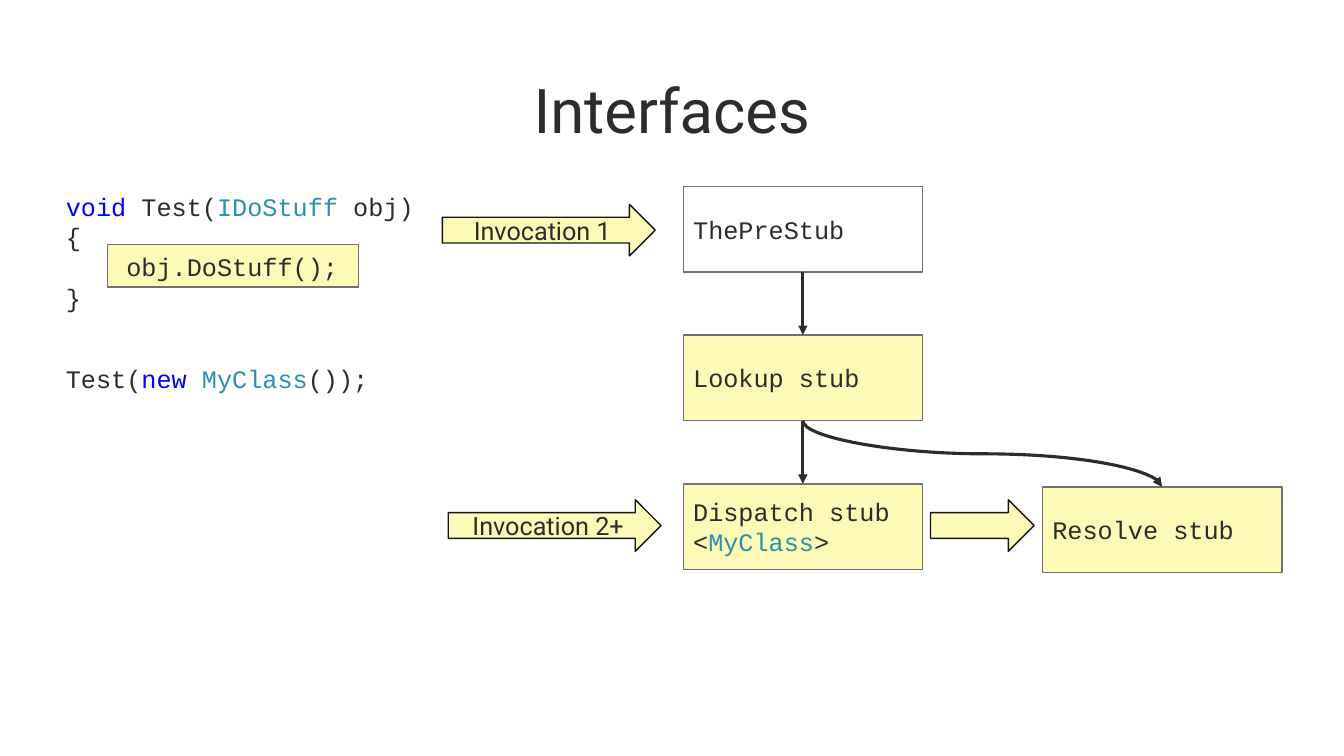
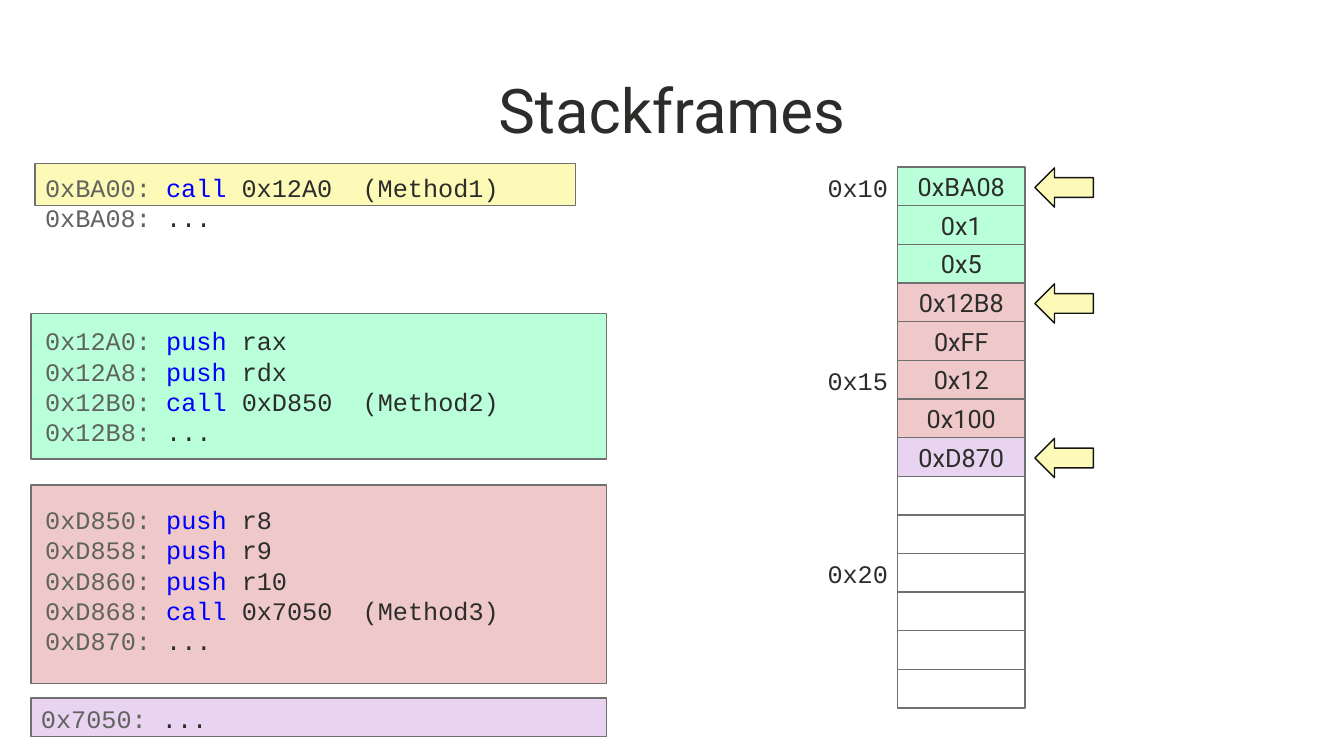
from dataclasses import dataclass

from lxml.etree import SubElement
from pptx import Presentation
from pptx.dml.color import RGBColor
from pptx.enum.shapes import MSO_CONNECTOR, MSO_SHAPE
from pptx.enum.text import MSO_ANCHOR, PP_ALIGN
from pptx.oxml.ns import qn
from pptx.util import Pt


@dataclass(frozen=True)
class Theme:
    """Colours, fonts and type sizes shared by the slides."""

    ink: str = "2C2D2B"
    keyword: str = "0000FF"
    type_name: str = "2B91AF"
    address: str = "61635F"
    edge: str = "707070"
    arrow_edge: str = "131413"
    white: str = "FFFFFF"
    yellow: str = "FCFAB6"
    green: str = "B9FFD9"
    red: str = "EFC9C9"
    violet: str = "E8D3F1"
    sans: str = "Roboto"
    mono: str = "Courier New"
    title_size: float = 44
    body_size: float = 18


@dataclass(frozen=True)
class Box:
    """A rectangle in points."""

    left: float
    top: float
    width: float
    height: float

    def place(self):
        """Return the four lengths that python-pptx expects."""
        return Pt(self.left), Pt(self.top), Pt(self.width), Pt(self.height)

    def inner(self, left, top, width, height):
        """Return a box measured from this one's corner."""
        return Box(self.left + left, self.top + top, width, height)


THEME = Theme()
SLIDE = Box(0, 0, 960, 540)
TITLE = Box(66, 29, 828, 104)


def style(span, font, colour, size=THEME.body_size):
    """Format one run."""
    span.font.name = font
    span.font.size = Pt(size)
    span.font.color.rgb = RGBColor.from_string(colour)


def set_margins(frame, left=7.2, top=3.6, bottom=0):
    """Set the insets of a text frame and turn wrapping on."""
    frame.word_wrap = True
    frame.margin_left, frame.margin_top = Pt(left), Pt(top)
    frame.margin_bottom = Pt(bottom)


def write_code(frame, lines):
    """Write lines of (text, colour) pairs in the code font."""
    for number, line in enumerate(lines):
        para = frame.add_paragraph() if number else frame.paragraphs[0]
        para.alignment = PP_ALIGN.LEFT
        for text, colour in line:
            span = para.add_run()
            span.text = text
            style(span, THEME.mono, colour)


def add_code(page, box, lines):
    """Place a free block of code."""
    frame = page.shapes.add_textbox(*box.place()).text_frame
    set_margins(frame)
    frame.margin_right = Pt(0)
    write_code(frame, lines)


def add_panel(page, box, fill=None, edge=THEME.edge, kind=MSO_SHAPE.RECTANGLE):
    """Place an outlined shape with an optional fill."""
    panel = page.shapes.add_shape(kind, *box.place())
    panel.shadow.inherit = False
    if fill:
        panel.fill.solid()
        panel.fill.fore_color.rgb = RGBColor.from_string(fill)
    else:
        panel.fill.background()
    panel.line.color.rgb = RGBColor.from_string(edge)
    panel.line.width = Pt(1)
    return panel


def add_label(panel, text):
    """Centre a label in a panel."""
    frame = panel.text_frame
    set_margins(frame, top=0)
    frame.vertical_anchor = MSO_ANCHOR.MIDDLE
    frame.text = text
    para = frame.paragraphs[0]
    para.alignment = PP_ALIGN.CENTER
    style(para.runs[0], THEME.sans, THEME.ink)


def add_arrow(page, box, text="", kind=MSO_SHAPE.RIGHT_ARROW):
    """Place a yellow block arrow, labelled if text is given."""
    arrow = add_panel(page, box, THEME.yellow, THEME.arrow_edge, kind)
    if text:
        add_label(arrow, text)


def add_stub(page, box, lines, fill=THEME.yellow):
    """Place a box that names one stub."""
    stub = add_panel(page, box, fill)
    set_margins(stub.text_frame, bottom=3.6)
    stub.text_frame.vertical_anchor = MSO_ANCHOR.MIDDLE
    write_code(stub.text_frame, lines)
    return stub


def link_down(page, upper, lower):
    """Join the bottom of one stub to the top of another with an arrow."""
    straight = upper.left == lower.left
    kind = MSO_CONNECTOR.STRAIGHT if straight else MSO_CONNECTOR.CURVE
    link = page.shapes.add_connector(kind, 0, 0, 0, 0)
    link.begin_connect(upper, 2)
    link.end_connect(lower, 0)
    link.line.color.rgb = RGBColor.from_string(THEME.ink)
    link.line.width = Pt(2.25)
    properties = link.element.spPr
    SubElement(properties.find(qn("a:ln")), qn("a:tailEnd"), type="triangle")
    SubElement(properties, qn("a:effectLst"))
    if not straight:
        across, down = link.width, link.height
        link.left += (across - down) // 2
        link.top += (down - across) // 2
        link.width, link.height = down, across
        frame = properties.find(qn("a:xfrm"))
        frame.set("rot", "16200000")
        frame.set("flipH", "1")


def add_page(deck, text):
    """Add a slide with the shared title style."""
    page = deck.slides.add_slide(deck.slide_layouts[5])
    title = page.shapes.title
    title.left, title.top, title.width, title.height = TITLE.place()
    frame = title.text_frame
    frame.text = text
    frame.vertical_anchor = MSO_ANCHOR.MIDDLE
    para = frame.paragraphs[0]
    para.alignment = PP_ALIGN.CENTER
    para.line_spacing = 0.9
    style(para.runs[0], THEME.sans, THEME.ink, THEME.title_size)
    return page


def add_caller(page, box):
    """Place the calling method and its invocation."""
    ink, keyword, type_name = THEME.ink, THEME.keyword, THEME.type_name
    add_panel(page, box.inner(36.8, 41.8, 179.3, 30.2), THEME.yellow)
    add_code(page, box.inner(0, 0, 268, 94), [
        [("void ", keyword), ("Test(", ink), ("IDoStuff", type_name), (" obj)", ink)],
        [("{", ink)],
        [("    obj.DoStuff();", ink)],
        [("}", ink)],
    ])
    add_code(page, box.inner(0, 123.2, 327, 29), [
        [("Test(", ink), ("new ", keyword), ("MyClass", type_name), ("());", ink)],
    ])


def add_stub_flow(page, box):
    """Place the stubs, the links between them and the invocation arrows."""
    ink = THEME.ink
    width, height, pitch = 171, 61.2, 106.3
    dispatch_lines = [
        [("Dispatch stub", ink)],
        [("<", ink), ("MyClass", THEME.type_name), (">", ink)],
    ]
    column = [
        ([[("ThePreStub", ink)]], None),
        ([[("Lookup stub", ink)]], THEME.yellow),
        (dispatch_lines, THEME.yellow),
    ]
    prestub, lookup, dispatch = [
        add_stub(page, box.inner(172, row * pitch, width, height), lines, fill)
        for row, (lines, fill) in enumerate(column)
    ]
    resolve = add_stub(page, box.inner(428.6, 214.8, width, height), [[("Resolve stub", ink)]])
    for upper, lower in ((prestub, lookup), (lookup, dispatch), (lookup, resolve)):
        link_down(page, upper, lower)
    add_arrow(page, box.inner(0, 13, 152, 36.8), "Invocation 1")
    add_arrow(page, box.inner(4.2, 224, 152, 36.8), "Invocation 2+")
    add_arrow(page, box.inner(348.6, 224, 74, 36.8))


def make_listing(start, steps):
    """Return code lines, eight bytes apart, that end with an ellipsis."""
    lines = []
    for number, (operation, operand) in enumerate([*steps, ("", "...")]):
        line = [(f"0x{start + 8 * number:X}:", THEME.address)]
        if operation:
            line.append((f" {operation}", THEME.keyword))
        lines.append([*line, (f" {operand}", THEME.ink)])
    return lines


def add_methods(page, box):
    """Place the listings of the caller and the three methods."""
    add_panel(page, box.inner(2.9, 0, 386, 30.2), THEME.yellow)
    caller = make_listing(0xBA00, [("call", "0x12A0  (Method1)")])
    add_code(page, box.inner(2.9, 2.9, 480, 51), caller)
    method1 = [("push", "rax"), ("push", "rdx"), ("call", "0xD850  (Method2)")]
    method2 = [
        ("push", "r8"), ("push", "r9"), ("push", "r10"), ("call", "0x7050  (Method3)"),
    ]
    blocks = [
        (107.3, 103.8, THEME.green, 10.1, 8.7, 0x12A0, method1),
        (229.7, 141.8, THEME.red, 10.1, 14, 0xD850, method2),
        (381.8, 27.6, THEME.violet, 7.2, 3.6, 0x7050, []),
    ]
    for top, height, fill, indent, drop, start, steps in blocks:
        panel = add_panel(page, box.inner(0, top, box.width, height), fill)
        set_margins(panel.text_frame, indent, drop)
        panel.text_frame.vertical_anchor = MSO_ANCHOR.TOP
        write_code(panel.text_frame, make_listing(start, steps))


def add_stack(page, box):
    """Place the stack cells, their addresses and the return arrows."""
    frames = [
        (THEME.green, ["0xBA08", "0x1", "0x5"]),
        (THEME.red, ["0x12B8", "0xFF", "0x12", "0x100"]),
        (THEME.violet, ["0xD870"]),
        (THEME.white, [""] * 6),
    ]
    cells = [(fill, value) for fill, values in frames for value in values]
    pitch = box.height / len(cells)
    for row, (fill, value) in enumerate(cells):
        cell = add_panel(page, box.inner(0, row * pitch, box.width, pitch), fill)
        if value:
            add_label(cell, value)
    for row, address in ((0, "0x10"), (5, "0x15"), (10, "0x20")):
        label = box.inner(-57, row * pitch, 57, 29)
        add_code(page, label, [[(address, THEME.ink)]])
    for row in (0, 3, 7):
        arrow = box.inner(98.2, row * pitch + 0.5, 41.8, 28.1)
        add_arrow(page, arrow, kind=MSO_SHAPE.LEFT_ARROW)


def main():
    """Build both slides and save the deck."""
    deck = Presentation()
    deck.slide_width, deck.slide_height = Pt(SLIDE.width), Pt(SLIDE.height)
    interfaces = add_page(deck, "Interfaces")
    add_caller(interfaces, Box(40, 133, 327, 153))
    add_stub_flow(interfaces, Box(316, 133, 600, 276))
    stackframes = add_page(deck, "Stackframes")
    add_methods(stackframes, Box(22.2, 116.7, 411, 410))
    add_stack(stackframes, Box(641, 119.4, 91.3, 386.4))
    deck.save("out.pptx")


if __name__ == "__main__":
    main()
